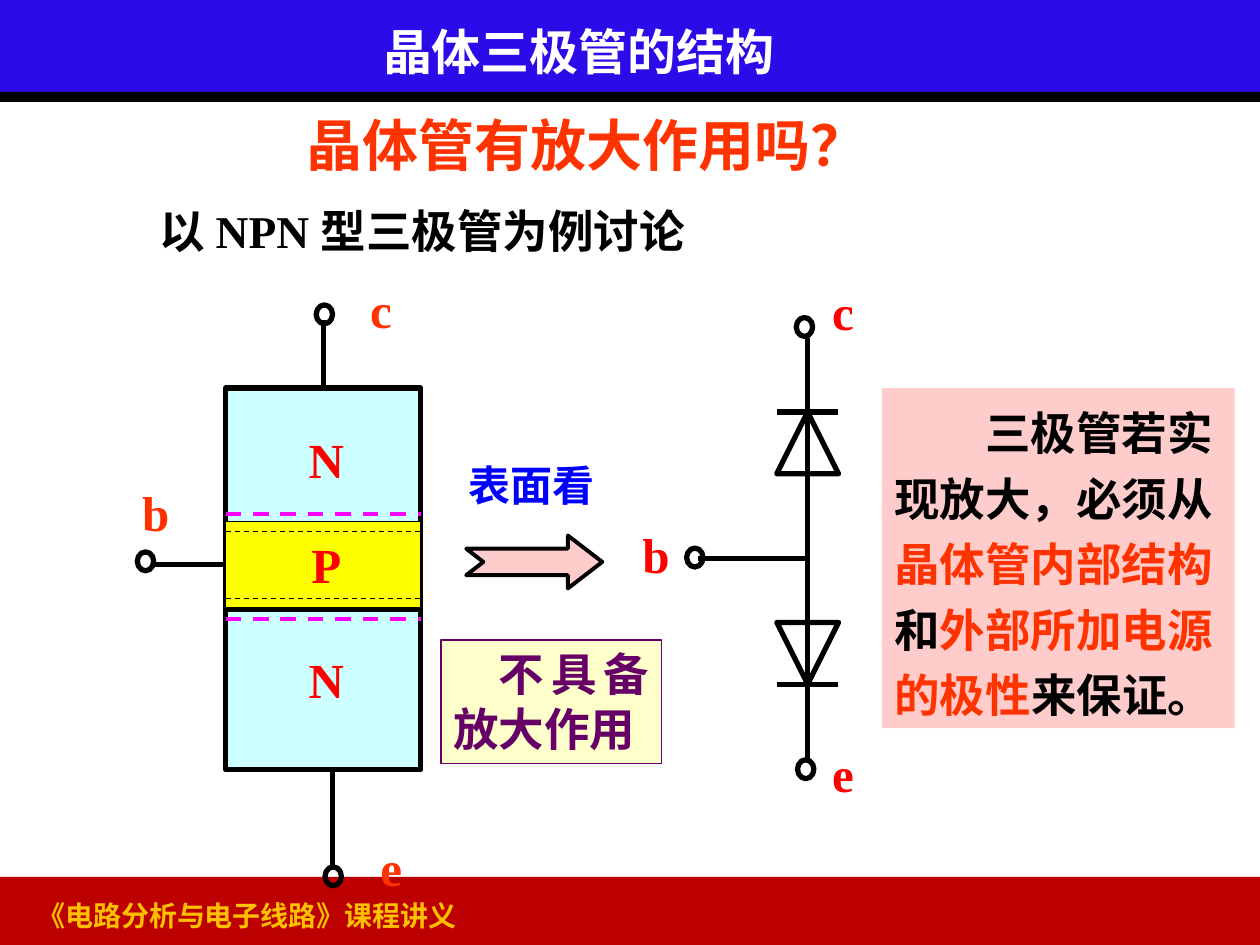
from pptx import Presentation
from pptx.dml.color import RGBColor
from pptx.enum.dml import MSO_LINE
from pptx.enum.shapes import MSO_CONNECTOR, MSO_SHAPE as SHAPE
from pptx.enum.text import MSO_ANCHOR as ANCHOR, PP_ALIGN as ALIGN
from pptx.oxml.ns import qn
from pptx.util import Inches, Pt
from lxml import etree

FONT = "Times New Roman"
BLACK = RGBColor(0, 0, 0)
WHITE = RGBColor(255, 255, 255)
HEADER_BLUE = RGBColor(0x2B, 0x0C, 0xE8)
FOOTER_RED = RGBColor(0xBC, 0, 0)
GOLD = RGBColor(0xFF, 0xC0, 0)
ORANGE = RGBColor(0xFF, 0x33, 0)
RED = RGBColor(255, 0, 0)
BLUE = RGBColor(0, 0, 255)
MAGENTA = RGBColor(255, 0, 255)
YELLOW = RGBColor(255, 255, 0)
CYAN = RGBColor(0xCC, 255, 255)
PINK = RGBColor(255, 0xCC, 0xCC)
CREAM = RGBColor(255, 255, 0xCC)
PURPLE = RGBColor(0x66, 0, 0x66)

TERMINAL_W, TERMINAL_H = 0.13, 0.15


def add_shape(slide, kind, x, y, w, h, fill=None, line=None, width=3):
    sp = slide.shapes.add_shape(kind, Inches(x), Inches(y), Inches(w), Inches(h))
    sp.shadow.inherit = False
    if fill is None:
        sp.fill.background()
    else:
        sp.fill.solid()
        sp.fill.fore_color.rgb = fill
    if line is None:
        sp.line.fill.background()
    else:
        sp.line.color.rgb = line
        sp.line.width = Pt(width)
    return sp


def add_line(slide, x1, y1, x2, y2, color=BLACK, width=3, dash=None):
    line = slide.shapes.add_connector(
        MSO_CONNECTOR.STRAIGHT, Inches(x1), Inches(y1), Inches(x2), Inches(y2))
    line.line.color.rgb = color
    line.line.width = Pt(width)
    if dash:
        line.line.dash_style = dash
    etree.SubElement(line._element.spPr, qn("a:effectLst"))
    return line


def add_terminal(slide, x, y):
    """Open circle at the end of a lead."""
    return add_shape(slide, SHAPE.OVAL, x, y, TERMINAL_W, TERMINAL_H, line=BLACK)


def write(sp, runs, size, align=ALIGN.LEFT, anchor=ANCHOR.TOP, wrap=True,
          spacing=None, indent=0):
    """Fill the shape with one paragraph of (text, colour) runs."""
    tf = sp.text_frame
    tf.word_wrap = wrap
    tf.vertical_anchor = anchor
    p = tf.paragraphs[0]
    p.alignment = align
    p.space_before = Pt(0)
    if spacing:
        p.line_spacing = spacing
    if indent:
        p._p.get_or_add_pPr().set("indent", str(Inches(indent)))
    for text, color in runs:
        r = p.add_run()
        r.text = text
        r.font.name = FONT
        r.font.size = Pt(size)
        r.font.bold = True
        r.font.color.rgb = color


def add_text(slide, x, y, w, h, text, color, size, **style):
    sp = slide.shapes.add_textbox(Inches(x), Inches(y), Inches(w), Inches(h))
    write(sp, [(text, color)], size, **style)


def add_letter(slide, x, y, w, text):
    add_text(slide, x, y, w, 0.57, text, RED, 28, align=ALIGN.CENTER,
             anchor=ANCHOR.MIDDLE, wrap=False)


def add_frame(slide, w, h):
    """Header with title, and footer, across the whole slide."""
    add_shape(slide, SHAPE.RECTANGLE, 0, h - 0.54, w, 0.54, FOOTER_RED)
    add_shape(slide, SHAPE.RECTANGLE, 0, 0, w, 0.76, HEADER_BLUE)
    add_shape(slide, SHAPE.RECTANGLE, 0, 0.73, w, 0.08, BLACK)
    add_text(slide, 0.2, h - 0.42, 8.82, 0.4, "《电路分析与电子线路》课程讲义", GOLD, 16)
    title = slide.shapes.title
    title.left, title.top = Inches(2.94), Inches(0.12)
    title.width, title.height = Inches(3.36), Inches(0.57)
    write(title, [("晶体三极管的结构", WHITE)], 28, wrap=False)
    slide.shapes._spTree.append(title._element)  # bring above the header band


def add_transistor(slide, x, y, w, h):
    """NPN layer block with its three leads."""
    body = add_shape(slide, SHAPE.RECTANGLE, x, y, w, h, CYAN, BLACK)
    for dy in (1.08, 1.76):
        add_line(slide, x, y + dy, x + w, y + dy, width=2.25)
    for dy in (1.0, 1.15, 1.68, 1.83):
        add_line(slide, x, y + dy, x + w, y + dy, MAGENTA, 2.25, MSO_LINE.DASH)
    base = add_shape(slide, SHAPE.RECTANGLE, x, y + 1.06, w, 0.68, YELLOW, BLACK, 0.75)
    for dy in (1.14, 1.67):
        add_line(slide, x, y + dy, x + w, y + dy, width=0.75, dash=MSO_LINE.DASH)

    mid, base_y = x + w / 2, y + 1.4
    add_line(slide, mid, y - 0.54, mid, y).end_connect(body, 0)
    add_line(slide, x - 0.57, base_y, x, base_y).end_connect(base, 1)
    add_line(slide, x + 0.85, y + h, x + 0.85, y + h + 0.77)
    for dx, dy in ((0.72, -0.66), (-0.7, 1.3), (0.79, 3.8)):
        add_terminal(slide, x + dx, y + dy)
    for text, dx, dy in (("c", 1.05, -0.91), ("b", -0.76, 0.7), ("e", 1.13, 3.52)):
        add_text(slide, x + dx, y + dy, 0.67, 0.57, text, ORANGE, 28)
    for text, dy in (("N", 0.28), ("P", 1.11), ("N", 2.02)):
        add_letter(slide, x + 0.56, y + dy, 0.48, text)


def add_diode(slide, x, y, size, down):
    """Diode with its bar at the end it points to."""
    sp = add_shape(slide, SHAPE.ISOSCELES_TRIANGLE, x, y, size, size, line=BLACK)
    sp.rotation = 180 if down else 0
    bar_y = y + size if down else y
    add_line(slide, x, bar_y, x + size, bar_y)


def add_diode_pair(slide, x, y, h):
    """Two back-to-back diodes on the vertical wire at x."""
    size = 0.49
    add_line(slide, x, y, x, y + h)
    add_line(slide, x, y + 1.75, x - 0.87, y + 1.75)
    add_diode(slide, x - size / 2, y + 0.59, size, down=False)
    add_diode(slide, x - size / 2, y + 2.26, size, down=True)
    for dx, dy in ((-0.09, -0.16), (-0.96, 1.67), (-0.08, 3.35)):
        add_terminal(slide, x + dx, y + dy)
    for text, dx, dy in (("c", 0.08, -0.5), ("b", -1.41, 1.43), ("e", 0.08, 3.17)):
        add_letter(slide, x + dx, y + dy, 0.4, text)


def add_comparison(slide, x, y):
    """Arrow with its caption, and the verdict below."""
    add_text(slide, x + 0.12, y, 1.58, 0.5, "表面看", BLUE, 24)
    arrow = add_shape(slide, SHAPE.NOTCHED_RIGHT_ARROW, x + 0.2, y + 0.65,
                      1.08, 0.42, PINK, BLACK, 2.25)
    arrow.adjustments[1] = 0.65
    verdict = add_shape(slide, SHAPE.RECTANGLE, x, y + 1.48, 1.75, 0.98,
                        CREAM, PURPLE, 0.75)
    write(verdict, [("不具备放大作用", PURPLE)], 26, align=ALIGN.JUSTIFY, indent=0.36)


def add_conclusion(slide, x, y, w, h):
    panel = add_shape(slide, SHAPE.RECTANGLE, x, y, w, h, PINK)
    runs = [("三极管若实现放大，必须从", BLACK), ("晶体管内部结构", ORANGE),
            ("和", BLACK), ("外部所加电源的极性", ORANGE), ("来保证。", BLACK)]
    write(panel, runs, 26, spacing=1.2, indent=0.72)


def main():
    prs = Presentation()
    prs.slide_width, prs.slide_height = Inches(10), Inches(7.5)
    slide = prs.slides.add_slide(prs.slide_layouts[5])
    add_frame(slide, 10, 7.5)
    add_text(slide, 1.53, 0.89, 6.25, 0.58, "晶体管有放大作用吗？", ORANGE, 32,
             align=ALIGN.CENTER, spacing=0.9)
    add_text(slide, 1.17, 1.56, 5.42, 0.53, "以 NPN 型三极管为例讨论", BLACK, 26,
             align=ALIGN.JUSTIFY)
    add_transistor(slide, 1.79, 3.08, 1.55, 3.03)
    add_diode_pair(slide, 6.41, 2.68, 3.36)
    add_comparison(slide, 3.5, 3.6)
    add_conclusion(slide, 7, 3.08, 2.8, 2.7)
    prs.save("out.pptx")


if __name__ == "__main__":
    main()
